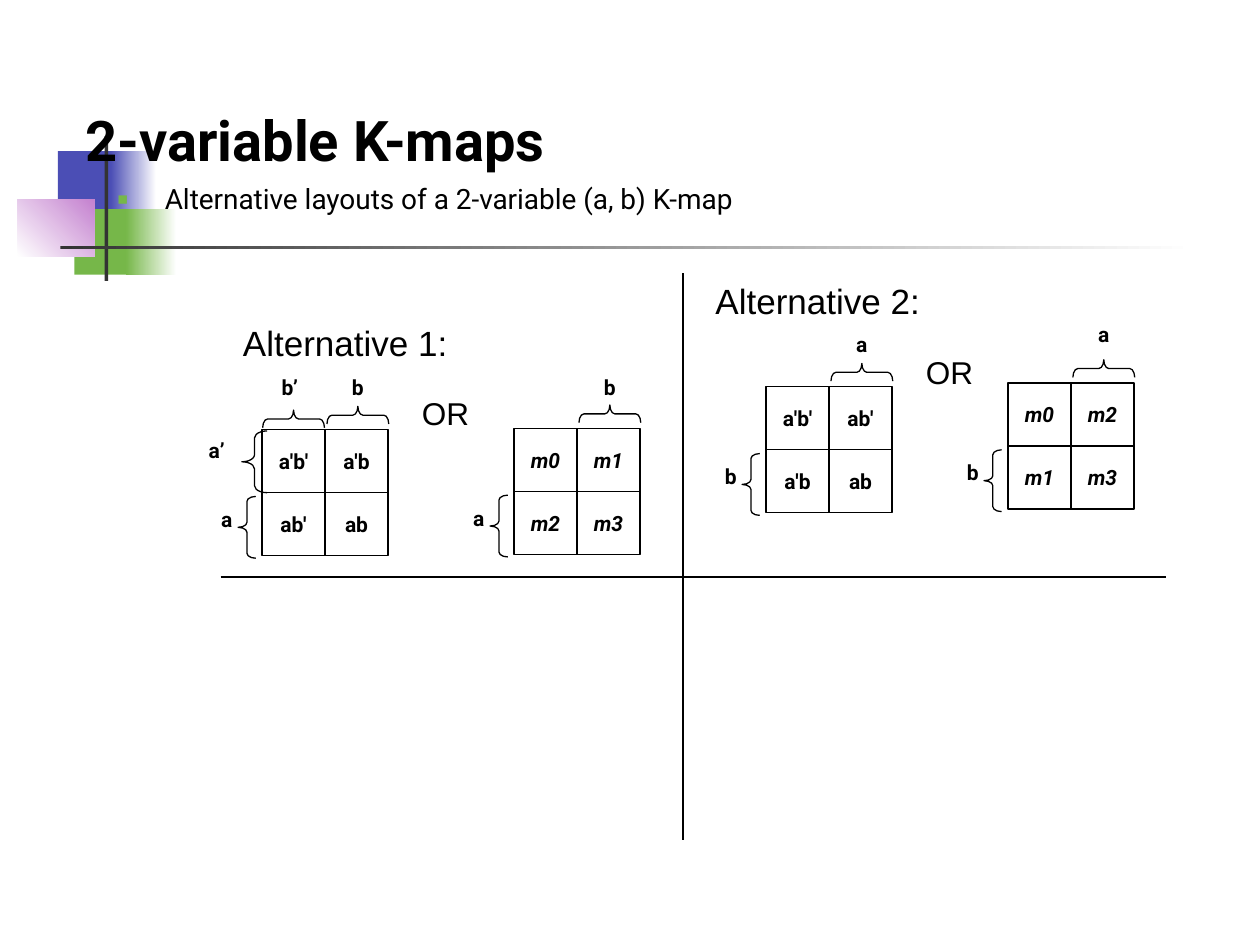
import pptx
import pptx.dml.color
import pptx.enum.shapes
import pptx.enum.text
import pptx.oxml.ns
import pptx.util
import lxml.etree

Inches, Pt = pptx.util.Inches, pptx.util.Pt
RGB = pptx.dml.color.RGBColor
SHAPE = pptx.enum.shapes.MSO_SHAPE
ALIGN = pptx.enum.text.PP_ALIGN
ANCHOR = pptx.enum.text.MSO_ANCHOR

BLACK, WHITE, DARK = RGB(0, 0, 0), RGB(255, 255, 255), RGB(0x33, 0x33, 0x33)
BLUE, GREEN, PURPLE = RGB(0x4B, 0x4E, 0xB5), RGB(0x76, 0xB7, 0x49), RGB(0xC4, 0x81, 0xCF)

TITLE = "2-variable K-maps"
SUBTITLE = "Alternative layouts of a 2-variable (a, b) K-map"

# (box, colours from start to end, gradient angle)
DECOR = [
    ((0.46, 1.2, 0.48, 0.52), [BLUE], 0),
    ((0.88, 1.2, 0.36, 0.52), [BLUE, WHITE], 0),
    ((0.59, 1.66, 0.46, 0.52), [GREEN], 0),
    ((1, 1.66, 0.4, 0.52), [GREEN, WHITE], 0),
    ((0.14, 1.58, 0.61, 0.46), [WHITE, PURPLE], 45),
    ((0.83, 1.08, 0.03, 1.15), [DARK], 0),
    ((0.48, 1.95, 9, 0.03), [DARK, WHITE], 0),
]

# side and top name the variables; top_gap lifts the top label off the map
KMAPS = [
    dict(at=(6.08, 3.07), cells=["a'b'", "ab'", "a'b", "ab"], side="b", top="a", top_gap=0.49),
    dict(at=(8, 3.04), cells=["m0", "m2", "m1", "m3"], side="b", top="a", top_gap=0.54, italic=True),
    dict(at=(2.08, 3.41), cells=["a'b'", "a'b", "ab'", "ab"], side="a", top="b", top_gap=0.49),
    dict(at=(4.08, 3.4), cells=["m0", "m1", "m2", "m3"], side="a", top="b", top_gap=0.48, italic=True),
]
CELL = 0.5
BRACE_DEPTH, BRACE_SPAN = 0.14, 0.49

# (text, left, top, width, size)
CAPTIONS = [
    ("Alternative 2:", 5.58, 2.17, 1.95, 20),
    ("OR", 7.25, 2.75, 0.67, 18),
    ("Alternative 1:", 1.83, 2.5, 1.95, 20),
    ("OR", 3.25, 3.08, 0.67, 18),
]
DIVIDERS = [(1.75, 4.58, 9.25, 4.58), (5.42, 2.17, 5.42, 6.67)]

# Complemented variables of the first map of alternative 1
COMPLEMENT_BRACES = [((1.92, 3.42, 0.2, BRACE_SPAN), 0), ((2.26, 3.08, BRACE_DEPTH, BRACE_SPAN), 90)]
COMPLEMENT_LABELS = [("a’", (1.5, 3.42, 0.44, 0.4)), ("b’", (2.08, 2.92, 0.44, 0.32))]

prs = pptx.Presentation()
prs.slide_width, prs.slide_height = Inches(10), Inches(7.5)
slide = prs.slides.add_slide(prs.slide_layouts[6])


def add_xml(parent, tag, **attributes):
    return lxml.etree.SubElement(parent, pptx.oxml.ns.qn(tag), attributes)


def add_text(text, box, size=12, font="Roboto", bold=False, italic=False,
             align=ALIGN.LEFT, anchor=ANCHOR.TOP):
    frame = slide.shapes.add_textbox(*map(Inches, box)).text_frame
    frame.word_wrap = True
    frame.vertical_anchor = anchor
    paragraph = frame.paragraphs[0]
    paragraph.alignment = align
    run = paragraph.add_run()
    run.text = text
    run.font.name, run.font.size = font, Pt(size)
    run.font.bold, run.font.italic = bold, italic
    run.font.color.rgb = BLACK
    return paragraph


def add_label(text, box, italic=False):
    add_text(text, box, bold=True, italic=italic, align=ALIGN.CENTER)


def add_line(x1, y1, x2, y2):
    line = slide.shapes.add_connector(
        pptx.enum.shapes.MSO_CONNECTOR.STRAIGHT, *map(Inches, (x1, y1, x2, y2)))
    line.line.color.rgb, line.line.width = BLACK, Pt(0.75)
    add_xml(line._element.spPr, "a:effectLst")


def add_outline(kind, box, rotation=0):
    shape = slide.shapes.add_shape(kind, *map(Inches, box))
    shape.shadow.inherit = False
    shape.fill.background()
    shape.line.color.rgb, shape.line.width = BLACK, Pt(0.75)
    shape.rotation = rotation
    return shape


def add_brace(box, rotation=0):
    add_outline(SHAPE.LEFT_BRACE, box, rotation).adjustments[0] = 0.28


def add_block(box, colours, angle):
    block = slide.shapes.add_shape(SHAPE.RECTANGLE, *map(Inches, box))
    block.shadow.inherit = False
    block.line.fill.background()
    if len(colours) == 1:
        block.fill.solid()
        block.fill.fore_color.rgb = colours[0]
        return
    block.fill.gradient()
    block.fill.gradient_angle = angle
    for stop, colour in zip(block.fill.gradient_stops, colours):
        stop.color.rgb = colour


def add_bullet(paragraph, char, colour, percent, indent):
    props = paragraph._p.get_or_add_pPr()
    props.set("marL", str(Inches(indent)))
    props.set("indent", str(-Inches(indent)))
    add_xml(add_xml(props, "a:buClr"), "a:srgbClr", val=str(colour))
    add_xml(props, "a:buSzPct", val=str(percent * 1000))
    add_xml(props, "a:buFont", typeface="Arial")
    add_xml(props, "a:buChar", char=char)


def add_kmap(at, cells, side, top, top_gap, italic=False):
    x, y = at
    add_outline(SHAPE.RECTANGLE, (x, y, 2 * CELL, 2 * CELL))
    add_line(x, y + CELL, x + 2 * CELL, y + CELL)
    add_line(x + CELL, y, x + CELL, y + 2 * CELL)
    for index, term in enumerate(cells):
        row, column = divmod(index, 2)
        add_label(term, (x + column * CELL, y + 0.1 + row * CELL, CELL, 0.4), italic)
    add_label(side, (x - 0.5, y + 0.56, 0.44, 0.4))
    add_brace((x - 0.19, y + 0.53, BRACE_DEPTH, BRACE_SPAN))
    add_brace((x + 0.69, y - 0.36, BRACE_DEPTH, BRACE_SPAN), 90)
    add_label(top, (x + 0.54, y - top_gap, 0.44, 0.32))


for decor in DECOR:
    add_block(*decor)
add_text(TITLE, (0.58, 0.17, 8.52, 1.25), size=32, bold=True, anchor=ANCHOR.BOTTOM)
subtitle = add_text(SUBTITLE, (0.83, 1.42, 8.67, 0.62), size=16)
subtitle.line_spacing, subtitle.space_before = 0.9, Pt(4)
add_bullet(subtitle, "▪", GREEN, 120, 0.38)

for kmap in KMAPS:
    add_kmap(**kmap)
for caption, left, top, width, size in CAPTIONS:
    add_text(caption, (left, top, width, 0.4), size=size, font="Arial")
for divider in DIVIDERS:
    add_line(*divider)
for brace in COMPLEMENT_BRACES:
    add_brace(*brace)
for label in COMPLEMENT_LABELS:
    add_label(*label)

prs.save("out.pptx")
